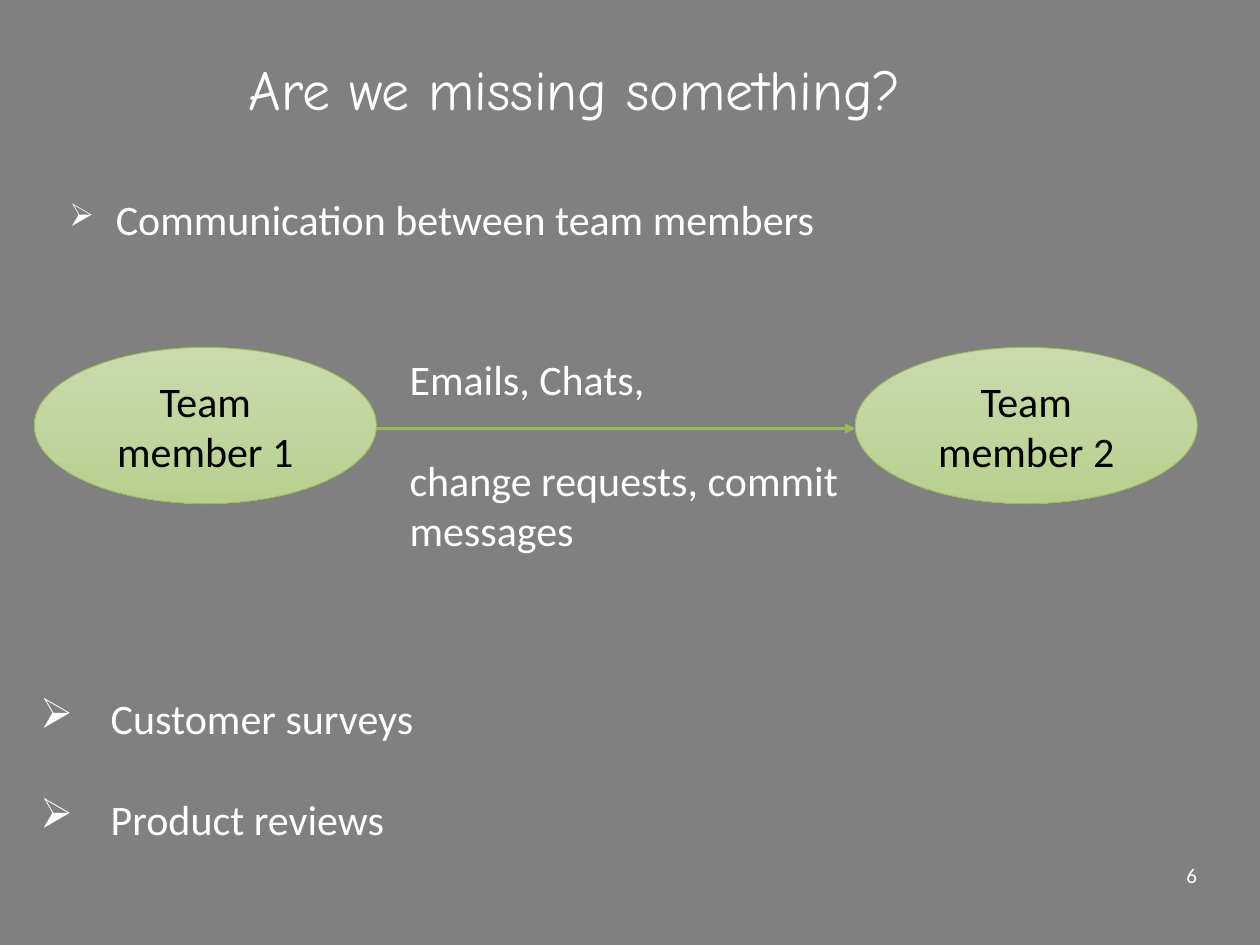
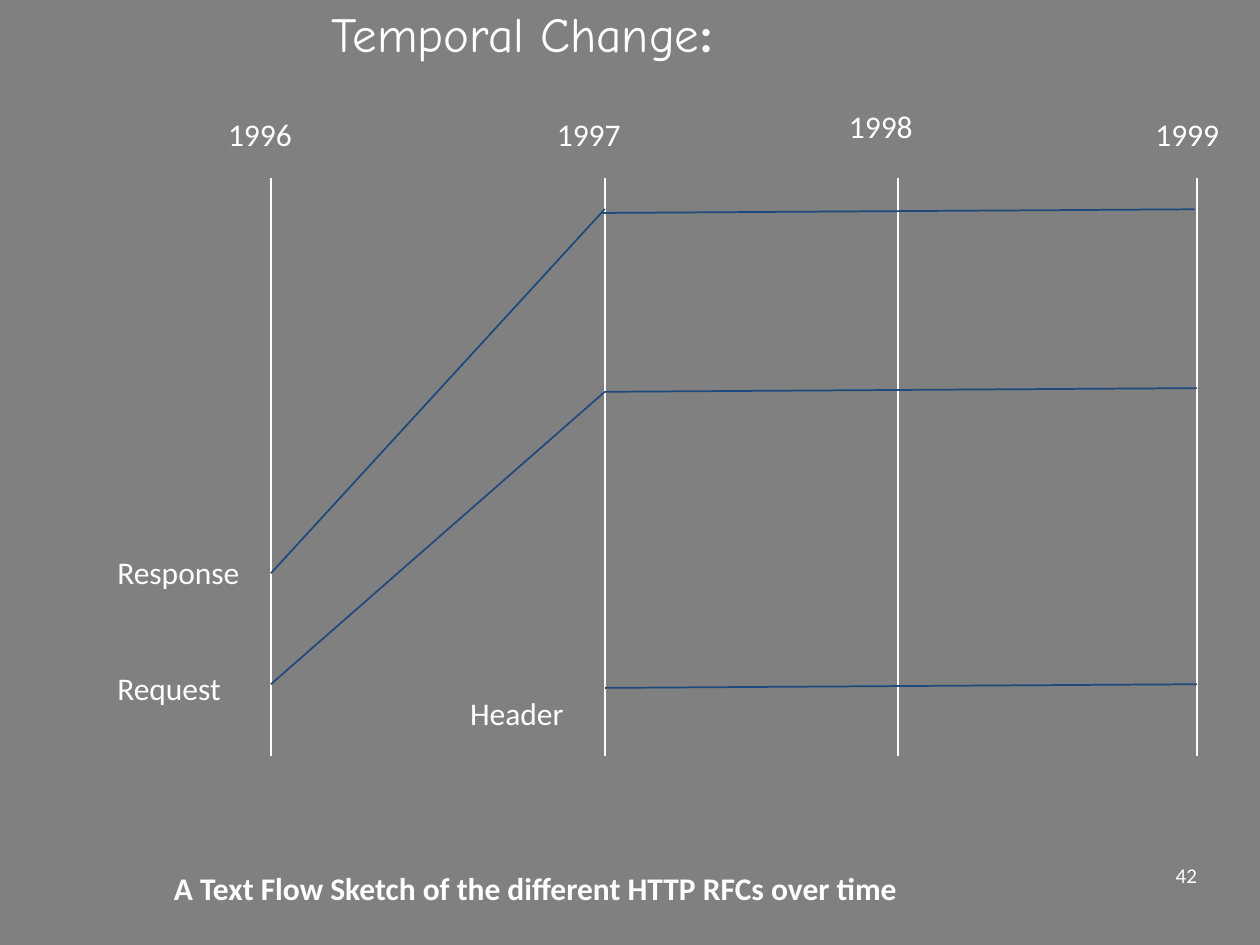
from dataclasses import dataclass
from typing import Any

from lxml import etree
from pptx import Presentation
from pptx.dml.color import RGBColor
from pptx.enum import shapes, text
from pptx.oxml.ns import qn
from pptx.util import Pt

# Shared style
GREY, WHITE, BLACK = "808080", "FFFFFF", "000000"
GREEN, GREEN_TOP, GREEN_BOTTOM = "9BBB59", "CADAAD", "B8D08F"
NAVY = "1F497D"
BODY_FONT, TITLE_FONT = "Calibri", "Comic Neue"
LEFT, CENTER, RIGHT = text.PP_ALIGN.LEFT, text.PP_ALIGN.CENTER, text.PP_ALIGN.RIGHT
TOP, MIDDLE = text.MSO_ANCHOR.TOP, text.MSO_ANCHOR.MIDDLE
BULLET = "➢"
INSET = 3.6


@dataclass
class Label:
    lines: list[str]
    x: float
    y: float
    w: float
    h: float
    size: float = 18
    bold: bool = False
    align: Any = LEFT
    anchor: Any = TOP
    inset: float = INSET
    gap: float = 0        # space before every line but the first
    indent: float = 0     # hanging indent; above zero adds a bullet
    bullet_pct: int = 100


@dataclass
class Line:
    x1: float
    y1: float
    x2: float
    y2: float
    color: str
    width: float = 1
    arrow: bool = False


def rgb(color: str) -> RGBColor:
    return RGBColor.from_string(color)


def assign(obj: Any, formats: dict[str, Any]) -> None:
    for name, value in formats.items():
        setattr(obj, name, value)


def place(sp: Any, x: float, y: float, w: float, h: float) -> None:
    assign(sp, {"left": Pt(x), "top": Pt(y), "width": Pt(w), "height": Pt(h)})


def set_frame(tf: Any, anchor: Any, inset: float) -> None:
    margins = {f"margin_{side}": Pt(inset) for side in ("left", "top", "right", "bottom")}
    assign(tf, {"word_wrap": True, "auto_size": text.MSO_AUTO_SIZE.NONE,
                "vertical_anchor": anchor, **margins})


def add_run(p: Any, words: str, size: float, color: str = WHITE,
            font: str = BODY_FONT, bold: bool = False) -> None:
    r = p.add_run()
    r.text = words
    assign(r.font, {"name": font, "size": Pt(size), "bold": bold})
    r.font.color.rgb = rgb(color)


def add_bullet(p: Any, indent: float, percent: int) -> None:
    pPr = p._p.get_or_add_pPr()
    pPr.set("marL", str(Pt(indent)))
    pPr.set("indent", str(-Pt(indent)))
    bu_color = etree.SubElement(pPr, qn("a:buClr"))
    etree.SubElement(bu_color, qn("a:srgbClr"), val=WHITE)
    etree.SubElement(pPr, qn("a:buSzPct"), val=str(percent * 1000))
    etree.SubElement(pPr, qn("a:buChar"), char=BULLET)


def add_label(slide: Any, label: Label) -> None:
    sp = slide.shapes.add_textbox(Pt(label.x), Pt(label.y), Pt(label.w), Pt(label.h))
    tf = sp.text_frame
    set_frame(tf, label.anchor, label.inset)
    for i, words in enumerate(label.lines):
        p = tf.add_paragraph() if i else tf.paragraphs[0]
        p.alignment = label.align
        if i and label.gap:
            p.space_before = Pt(label.gap)
        if label.indent:
            add_bullet(p, label.indent, label.bullet_pct)
        add_run(p, words, label.size, bold=label.bold)


def add_line(slide: Any, line: Line) -> None:
    cx = slide.shapes.add_connector(shapes.MSO_CONNECTOR.STRAIGHT, Pt(line.x1),
                                    Pt(line.y1), Pt(line.x2), Pt(line.y2))
    cx.line.color.rgb = rgb(line.color)
    cx.line.width = Pt(line.width)
    if line.arrow:
        etree.SubElement(cx.line._get_or_add_ln(), qn("a:tailEnd"), type="triangle")
    etree.SubElement(cx._element.spPr, qn("a:effectLst"))


def add_member(slide: Any, name: str, x: float, y: float, w: float, h: float) -> None:
    sp = slide.shapes.add_shape(shapes.MSO_SHAPE.OVAL, Pt(x), Pt(y), Pt(w), Pt(h))
    sp.shadow.inherit = False
    sp.fill.gradient()
    sp.fill.gradient_angle = 270
    for stop, color in zip(sp.fill.gradient_stops, (GREEN_TOP, GREEN_BOTTOM)):
        stop.color.rgb = rgb(color)
    sp.line.color.rgb = rgb(GREEN)
    sp.line.width = Pt(0.5)
    set_frame(sp.text_frame, MIDDLE, 0)
    p = sp.text_frame.paragraphs[0]
    p.alignment = CENTER
    add_run(p, name, 24, BLACK)


def new_slide(prs: Any, title: str, box: tuple[float, ...], size: float, number: int) -> Any:
    """Add a slide with its title and slide number."""
    slide = prs.slides.add_slide(prs.slide_layouts[5])
    sp = slide.shapes.title
    place(sp, *box)
    set_frame(sp.text_frame, TOP, INSET)
    p = sp.text_frame.paragraphs[0]
    p.alignment = CENTER
    add_run(p, title, size, font=TITLE_FONT)
    add_label(slide, Label([str(number)], 516, 489.6, 168, 21, 12,
                           align=RIGHT, anchor=MIDDLE, inset=0))
    return slide


def build_communication(prs: Any) -> None:
    slide = new_slide(prs, "Are we missing something?", (36, 27.4, 585.4, 46), 32, 6)

    # Bulleted topics
    add_label(slide, Label(["Communication between team members"], 36, 107.3, 620, 35.3,
                           24, indent=26.6, bullet_pct=75))
    add_label(slide, Label(["Customer surveys", "Product reviews"], 19.4, 392.4, 636.5, 91.4,
                           24, gap=28.5, indent=40.3))

    # Two members and the messages between them
    left_x, right_x, top, width, height = 19.6, 488.7, 198.5, 195.5, 89.3
    for i, x in enumerate((left_x, right_x), start=1):
        add_member(slide, f"Team member {i}", x, top, width, height)
    add_line(slide, Line(left_x + width, 244.8, right_x, 244.8, GREEN, 1.5, arrow=True))
    add_label(slide, Label(["Emails, Chats,", "change requests, commit messages"],
                           230.4, top, 258.5, 119.5, 24, gap=28.8))


def build_text_flow(prs: Any) -> None:
    slide = new_slide(prs, "Temporal Change", (136, -1.4, 324.7, 41), 28, 42)
    add_run(slide.shapes.title.text_frame.paragraphs[0], ":", 28, bold=True)

    # Year axes: axis x, label x, label y
    years = {1996: (154.8, 126.7, 62), 1997: (345.6, 314.6, 62),
             1998: (513.2, 481.5, 57.6), 1999: (684, 656.6, 62)}
    for year, (axis_x, label_x, label_y) in years.items():
        add_line(slide, Line(axis_x, 101.5, axis_x, 432, WHITE))
        add_label(slide, Label([str(year)], label_x, label_y, 60, 28))
    x_1996, x_1997, x_1999 = (years[year][0] for year in (1996, 1997, 1999))

    # Flat runs from 1997 to 1999, rising slightly
    for y, shift in ((393.1, 0), (223.9, 0), (121.7, -1.4)):
        add_line(slide, Line(x_1997 + shift, y, x_1999 + shift, y - 2.1, NAVY))

    # Climbs from 1996 to 1997
    for start_y, end_y in ((391, 223.9), (327.6, 119.5)):
        add_line(slide, Line(x_1996, start_y, x_1997, end_y, NAVY))

    # Section names and caption
    for name, x, y in (("Response", 63.4, 312.5), ("Request", 63.4, 378.7),
                       ("Header", 265, 393.1)):
        add_label(slide, Label([name], x, y, 90, 28))
    add_label(slide, Label(["A Text Flow Sketch of the different HTTP RFCs over time"],
                           95.8, 493.2, 529, 28, bold=True))


def main() -> None:
    prs = Presentation()
    assign(prs, {"slide_width": Pt(720), "slide_height": Pt(540)})
    fill = prs.slide_master.background.fill
    fill.solid()
    fill.fore_color.rgb = rgb(GREY)
    build_communication(prs)
    build_text_flow(prs)
    prs.save("out.pptx")


if __name__ == "__main__":
    main()
